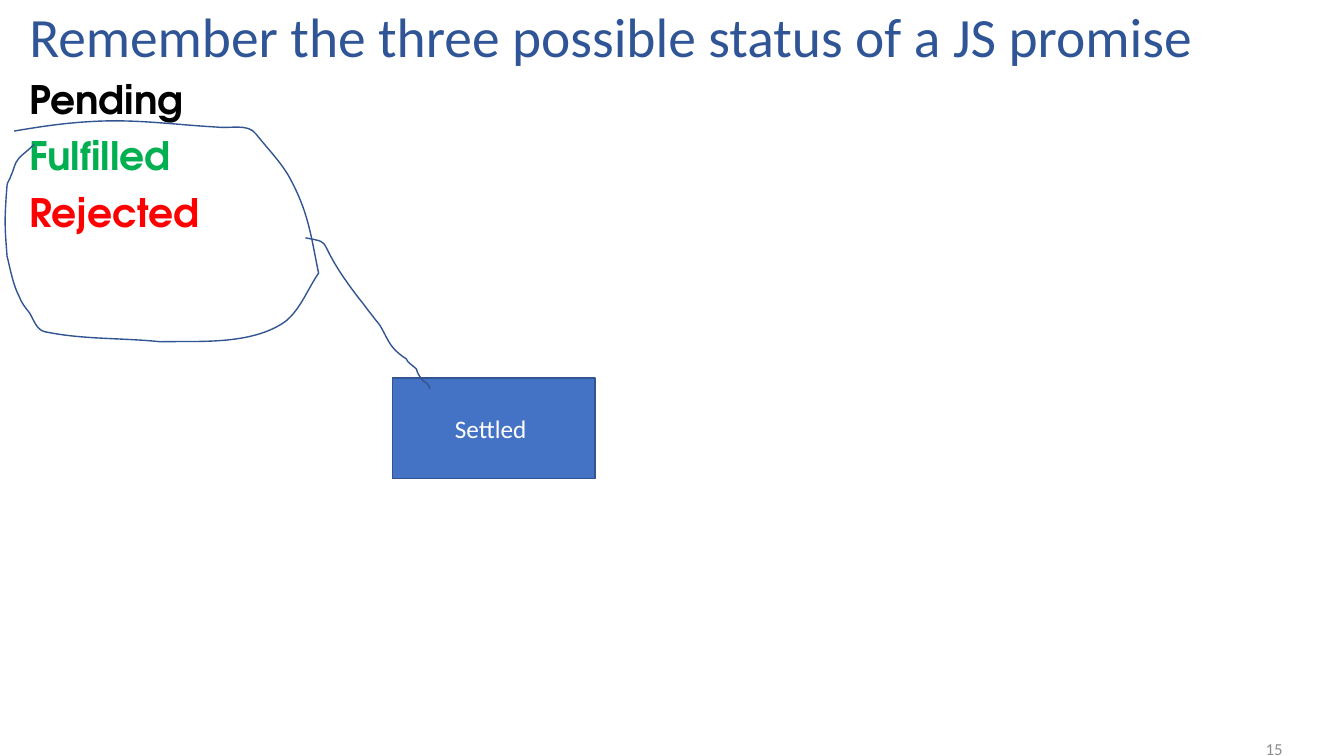
import dataclasses

import lxml.etree
import pptx
import pptx.dml.color
import pptx.enum.shapes
import pptx.enum.text
import pptx.oxml.ns
import pptx.util

Inches = pptx.util.Inches
Pt = pptx.util.Pt
qn = pptx.oxml.ns.qn
Align = pptx.enum.text.PP_ALIGN
Anchor = pptx.enum.text.MSO_ANCHOR


@dataclasses.dataclass(frozen=True)
class Theme:
    font: str = "Calibri"
    status_font: str = "TeX Gyre Adventor"
    title: str = "2F5597"
    pending: str = "000000"
    fulfilled: str = "00B050"
    rejected: str = "FF0000"
    box: str = "4472C4"
    line: str = "325491"
    box_text: str = "FFFFFF"
    number: str = "8C8C8C"
    title_size: float = 39.6
    status_size: float = 28
    box_size: float = 18
    number_size: float = 12
    line_width: float = 1


THEME = Theme()

# Hand-drawn strokes: start point, then control, control, end for each curve,
# in inches from the top left corner of the stroke's box
RING_START = (0.09, 0.1)
RING_CURVES = [
    (0.39, 0.05, 0.65, 0.01, 0.99, 0),
    (1.36, -0.01, 1.73, 0.04, 2.09, 0.06),
    (2.23, 0.08, 2.41, 0.02, 2.49, 0.13),
    (2.6, 0.27, 2.72, 0.39, 2.81, 0.54),
    (3.01, 0.9, 3.03, 1.12, 3.11, 1.51),
    (3, 1.67, 2.93, 1.87, 2.78, 1.99),
    (2.44, 2.23, 1.9, 2.18, 1.54, 2.19),
    (1.15, 2.15, 0.77, 2.17, 0.39, 2.09),
    (0.31, 2.07, 0.28, 1.96, 0.24, 1.9),
    (0.2, 1.85, 0.16, 1.8, 0.14, 1.74),
    (0.08, 1.63, 0.05, 1.46, 0.02, 1.34),
    (0, 1.07, -0.01, 1.01, 0.02, 0.64),
    (0.02, 0.61, 0.05, 0.58, 0.06, 0.54),
    (0.08, 0.5, 0.09, 0.45, 0.11, 0.41),
    (0.14, 0.35, 0.21, 0.31, 0.26, 0.26),
    (0.27, 0.25, 0.28, 0.24, 0.29, 0.23),
]
LINK_START = (0, 0)
LINK_CURVES = [
    (0.31, 0.06, 0.06, -0.01, 0.53, 0.6),
    (0.58, 0.66, 0.62, 0.72, 0.67, 0.78),
    (0.69, 0.81, 0.72, 0.84, 0.74, 0.87),
    (0.81, 0.99, 0.83, 1.07, 0.93, 1.15),
    (0.95, 1.17, 0.97, 1.18, 1, 1.2),
    (1.01, 1.22, 1.02, 1.24, 1.04, 1.25),
    (1.06, 1.27, 1.08, 1.28, 1.1, 1.3),
    (1.11, 1.32, 1.11, 1.35, 1.13, 1.37),
    (1.19, 1.46, 1.19, 1.41, 1.23, 1.48),
    (1.23, 1.49, 1.23, 1.49, 1.23, 1.5),
]


def rgb(color):
    return pptx.dml.color.RGBColor.from_string(color)


def apply(target, values):
    for name, value in values.items():
        setattr(target, name, value)


def place(shape, box):
    names = ("left", "top", "width", "height")
    apply(shape, {name: Inches(length) for name, length in zip(names, box)})


def write(shape, lines, size, font=THEME.font, anchor=Anchor.MIDDLE, bold=False, **layout):
    """Fill a shape with one paragraph for each (text, colour) pair."""
    frame = shape.text_frame
    apply(frame, {"word_wrap": True, "vertical_anchor": anchor,
                  "auto_size": pptx.enum.text.MSO_AUTO_SIZE.NONE})
    for index, (text, color) in enumerate(lines):
        paragraph = frame.add_paragraph() if index else frame.paragraphs[0]
        apply(paragraph, layout)
        run = paragraph.add_run()
        run.text = text
        apply(run.font, {"size": Pt(size), "name": font, "bold": bold})
        run.font.color.rgb = rgb(color)


def outline(shape):
    shape.shadow.inherit = False
    shape.line.color.rgb = rgb(THEME.line)
    shape.line.width = Pt(THEME.line_width)


def add_title(slide, box):
    title = slide.shapes.title
    place(title, box)
    write(title, [("Remember the three possible status of a JS promise", THEME.title)],
          THEME.title_size, alignment=Align.LEFT, line_spacing=0.9)


def add_statuses(slide, box):
    statuses = [("Pending", THEME.pending), ("Fulfilled", THEME.fulfilled),
                ("Rejected", THEME.rejected)]
    shape = slide.shapes.add_textbox(*map(Inches, box))
    write(shape, statuses, THEME.status_size, THEME.status_font, Anchor.TOP, True,
          line_spacing=0.9, space_before=Pt(10))


def add_settled(slide, box):
    kind = pptx.enum.shapes.MSO_SHAPE.RECTANGLE
    shape = slide.shapes.add_shape(kind, *map(Inches, box))
    shape.fill.solid()
    shape.fill.fore_color.rgb = rgb(THEME.box)
    outline(shape)
    write(shape, [("Settled ", THEME.box_text)], THEME.box_size, alignment=Align.CENTER)


def add_stroke(slide, box, start, curves):
    # Start with straight segments between the curve ends
    builder = slide.shapes.build_freeform(*map(Inches, start), scale=1.0)
    builder.add_line_segments([tuple(map(Inches, curve[4:])) for curve in curves], close=False)
    shape = builder.convert_to_shape()
    place(shape, box)
    shape.fill.background()
    outline(shape)
    # Turn the segments into cubic curves measured from the box corner
    route = next(shape._element.iter(qn("a:path")))
    for name, length in zip("wh", box[2:]):
        route.set(name, str(Inches(length)))
    for command in list(route):
        route.remove(command)
    for tag, values in [("a:moveTo", start), *(("a:cubicBezTo", curve) for curve in curves)]:
        command = lxml.etree.SubElement(route, qn(tag))
        for x, y in zip(values[::2], values[1::2]):
            lxml.etree.SubElement(command, qn("a:pt"), x=str(Inches(x)), y=str(Inches(y)))


def add_slide_number(slide, box):
    shape = slide.shapes.add_textbox(*map(Inches, box))
    write(shape, [("15", THEME.number)], THEME.number_size, alignment=Align.RIGHT)


def build_promise_slide(presentation):
    slide = presentation.slides.add_slide(presentation.slide_layouts[5])
    # Heading and page number
    add_title(slide, (0.19, 0.13, 13.05, 0.53))
    add_slide_number(slide, (12.12, 7.28, 0.7, 0.3))
    # Statuses and the settled box
    add_statuses(slide, (0.19, 0.75, 13.05, 6.52))
    add_settled(slide, (3.89, 3.75, 2.01, 1))
    # Ring around the settled statuses, linked to the box
    add_stroke(slide, (0.05, 1.2, 3.11, 2.19), RING_START, RING_CURVES)
    add_stroke(slide, (3.03, 2.36, 1.23, 1.5), LINK_START, LINK_CURVES)


def main():
    presentation = pptx.Presentation()
    apply(presentation, {"slide_width": Inches(13.33), "slide_height": Inches(7.5)})
    build_promise_slide(presentation)
    presentation.save("out.pptx")


if __name__ == "__main__":
    main()
